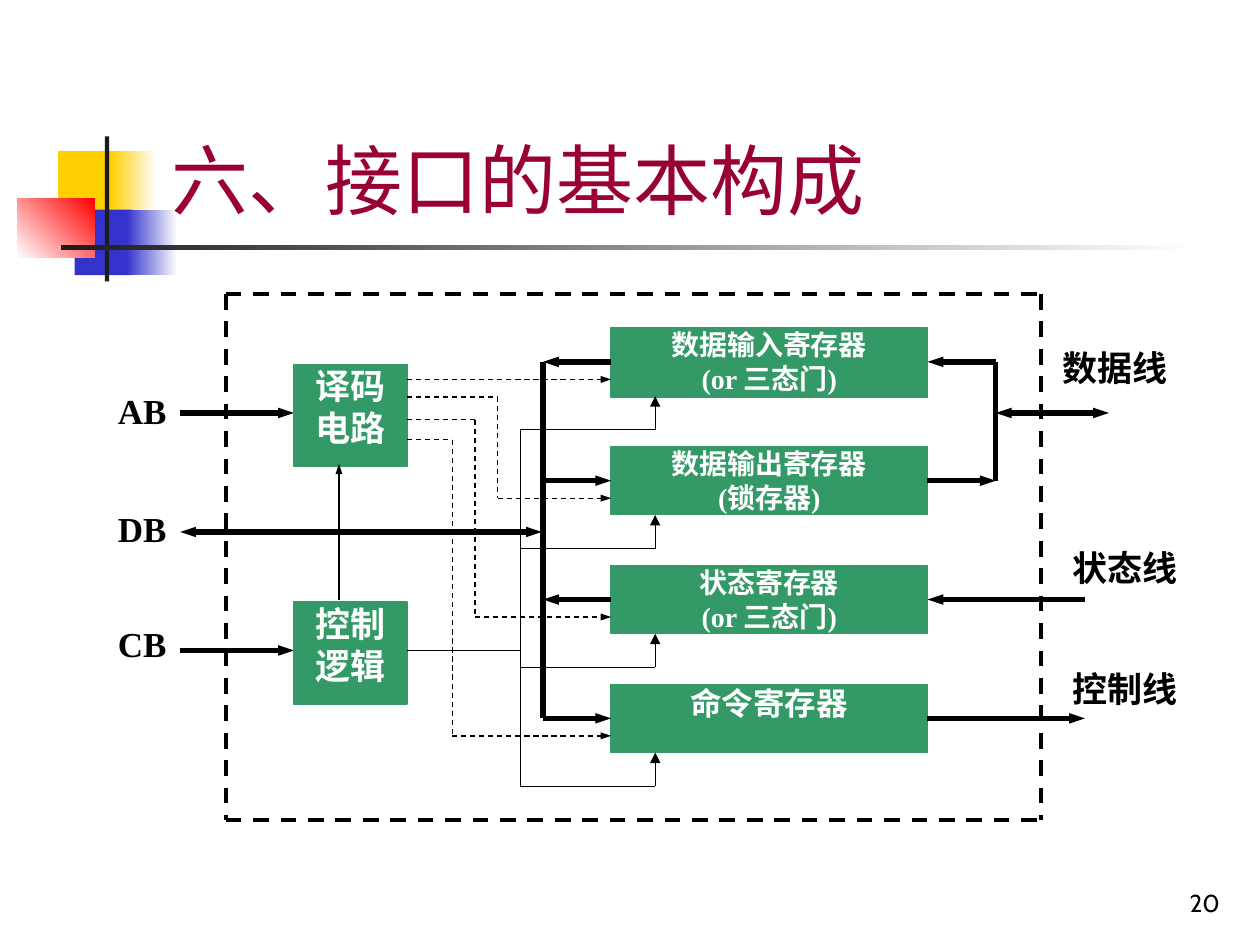
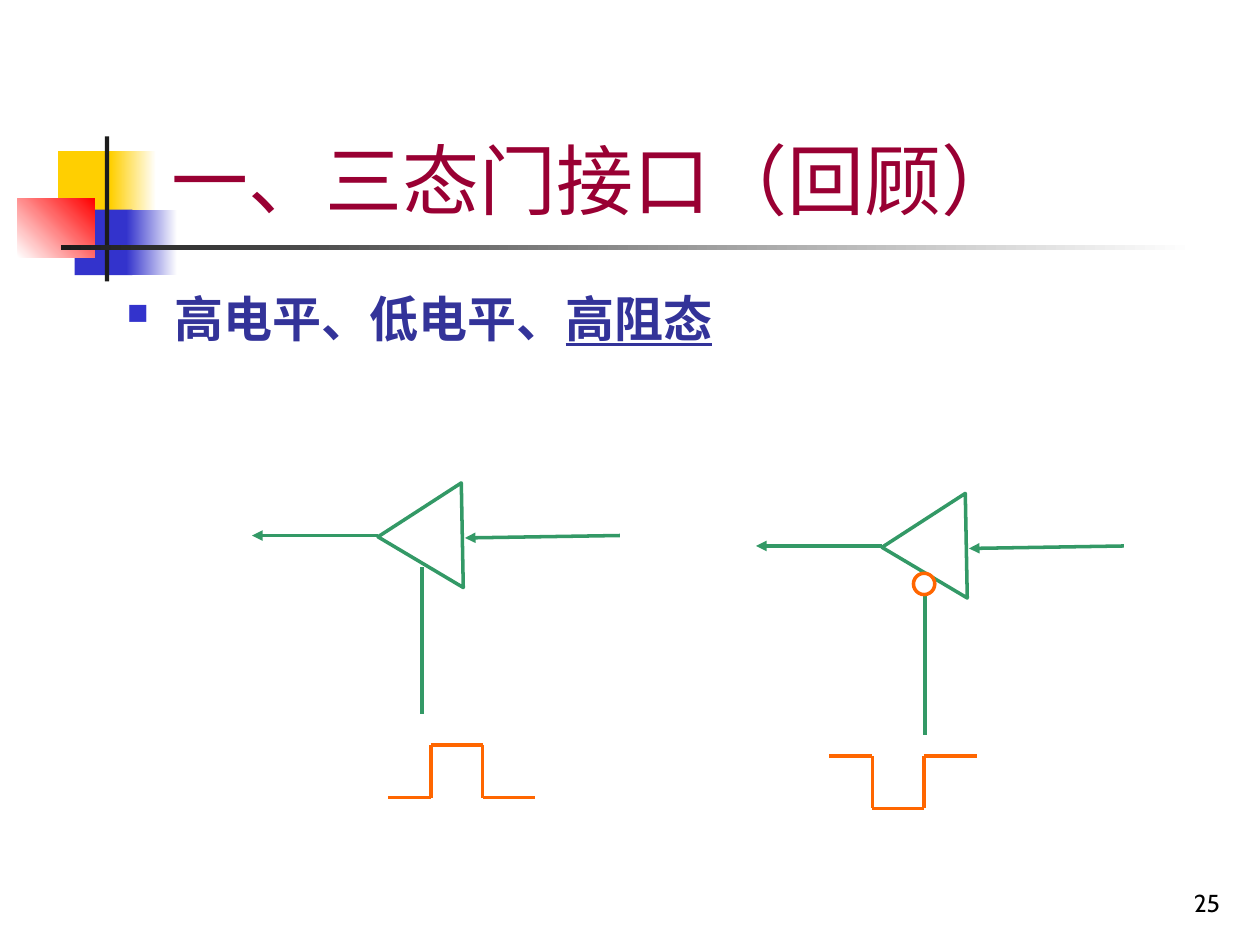
from dataclasses import dataclass

from lxml import etree
from pptx import Presentation
from pptx.dml.color import RGBColor
from pptx.enum.dml import MSO_LINE
from pptx.enum.shapes import MSO_CONNECTOR, MSO_SHAPE
from pptx.enum.text import MSO_ANCHOR, PP_ALIGN
from pptx.oxml.ns import qn
from pptx.util import Pt

RECT, OVAL, DELTA = MSO_SHAPE.RECTANGLE, MSO_SHAPE.OVAL, MSO_SHAPE.ISOSCELES_TRIANGLE
LEFT, MID, RIGHT, JUST = PP_ALIGN.LEFT, PP_ALIGN.CENTER, PP_ALIGN.RIGHT, PP_ALIGN.JUSTIFY
TOP, BOTTOM = MSO_ANCHOR.TOP, MSO_ANCHOR.BOTTOM


@dataclass(frozen=True)
class Font:
    name: str
    size: float
    color: str
    bold: bool = False


@dataclass(frozen=True)
class Pen:
    color: str
    width: float
    dash: bool = False
    tip: str = "sm"  # arrowhead width


@dataclass(frozen=True)
class Theme:
    white: str = "FFFFFF"
    black: str = "1C1C1C"
    gold: str = "FFCF01"
    blue: str = "3333CC"
    red: str = "FF0000"
    green: str = "339966"
    title: Font = Font("Cabin", 44, "990033")
    body: Font = Font("Cabin", 28, "333399", True)
    page: Font = Font("Cabin", 14, "000000")
    label: Font = Font("Times New Roman", 20, "000000", True)
    block: Font = Font("Times New Roman", 20, "FFFFFF", True)
    single: Font = Font("Times New Roman", 18, "FFFFFF", True)
    double: Font = Font("Times New Roman", 16, "FFFFFF", True)
    edge: Pen = Pen("339966", 0.75)
    bus: Pen = Pen("000000", 3)
    thin: Pen = Pen("000000", 0.75)
    strobe: Pen = Pen("000000", 0.75, tip="med")
    select: Pen = Pen("000000", 0.75, True)
    frame: Pen = Pen("000000", 2.25, True)
    gate: Pen = Pen("339966", 2, tip="med")
    pulse: Pen = Pen("FF6600", 2)


T = Theme()


def rgb(code):
    return RGBColor.from_string(code)


def style(par, font, align):
    par.alignment = align
    par.font.name = font.name
    par.font.size = Pt(font.size)
    par.font.bold = font.bold
    par.font.color.rgb = rgb(font.color)


def write(frame, lines, font, align=LEFT, anchor=TOP, pad=3.6):
    frame.word_wrap = True
    frame.vertical_anchor = anchor
    frame.margin_top = frame.margin_bottom = Pt(pad)
    for i, line in enumerate(lines):
        par = frame.add_paragraph() if i else frame.paragraphs[0]
        par.text = line
        style(par, font, align)


class Pane:
    """Drawing area whose coordinates start at its own top left corner."""

    def __init__(self, slide, left=0, top=0):
        self.shapes, self.left, self.top = slide.shapes, left, top

    def spot(self, x, y):
        return Pt(round(self.left + x, 2)), Pt(round(self.top + y, 2))

    def shape(self, kind, x, y, wide, high, fill, pen=None):
        item = self.shapes.add_shape(kind, *self.spot(x, y), Pt(wide), Pt(high))
        item.shadow.inherit = False
        item.fill.solid()
        item.fill.fore_color.rgb = rgb(fill)
        if pen:
            item.line.color.rgb = rgb(pen.color)
            item.line.width = Pt(pen.width)
        else:
            item.line.fill.background()
        return item

    def fade(self, x, y, wide, high, start, end, angle=0):
        fill = self.shape(RECT, x, y, wide, high, start).fill
        fill.gradient()
        fill.gradient_angle = angle
        for stop, code in zip(fill.gradient_stops, (start, end)):
            stop.color.rgb = rgb(code)

    def text(self, x, y, wide, high, lines, font, **look):
        item = self.shapes.add_textbox(*self.spot(x, y), Pt(wide), Pt(high))
        write(item.text_frame, lines, font, **look)
        return item.text_frame

    def block(self, x, y, wide, high, lines, font):
        item = self.shape(RECT, x, y, wide, high, T.green, T.edge)
        write(item.text_frame, lines, font, MID, pad=0)

    def route(self, pen, *points, head=False, tail=False):
        """Join the points by straight lines, with arrowheads at the ends asked for."""
        last = len(points) - 2
        for i, (start, end) in enumerate(zip(points, points[1:])):
            item = self.shapes.add_connector(
                MSO_CONNECTOR.STRAIGHT, *self.spot(*start), *self.spot(*end))
            item.line.color.rgb = rgb(pen.color)
            item.line.width = Pt(pen.width)
            if pen.dash:
                item.line.dash_style = MSO_LINE.DASH
            ends = (("a:headEnd", head and i == 0), ("a:tailEnd", tail and i == last))
            for tag, shown in ends:
                if shown:
                    etree.SubElement(item.line._get_or_add_ln(), qn(tag),
                                     type="triangle", w=pen.tip, len="med")
            etree.SubElement(item._element.spPr, qn("a:effectLst"))


def decor(pane):
    pane.shape(RECT, 0, 0, 34.5, 37.4, T.gold)
    pane.fade(30, 0, 26, 37.4, T.gold, T.white)
    pane.shape(RECT, 9.5, 33.4, 33, 37.4, T.blue)
    pane.fade(39, 33.4, 29, 37.4, T.blue, T.white)
    pane.fade(-23.2, 27.2, 44.3, 33.4, T.white, T.red, 45)
    pane.shape(RECT, 26.7, -8.5, 2.5, 83, T.black)
    pane.fade(1.6, 53.8, 648, 2.5, T.black, T.white)


def page(deck, title, number):
    slide = deck.slides.add_slide(deck.slide_layouts[6])
    decor(Pane(slide, 33.2, 86.4))
    pane = Pane(slide)
    pane.text(554.4, 491.8, 149.8, 36, [number], T.page, align=RIGHT, anchor=BOTTOM)
    pane.text(90.7, 16.6, 613.4, 115.2, [title], T.title, anchor=BOTTOM)
    return slide


def inputs(pane):
    """Bus names, their arrows and the two blocks they feed."""
    for name, y, top in (("AB", 68, 54.5), ("DB", 136, 122.2), ("CB", 203.7, 187.8)):
        pane.text(-68.7, top, 52, 29, [name], T.label, align=JUST, pad=0)
        end = 180.6 if name == "DB" else 39
        pane.route(T.bus, (-26, y), (end, y), head=name == "DB", tail=True)
    for top, lines in ((40.2, ("译码", "电路")), (176, ("控制", "逻辑"))):
        pane.block(38.8, top, 64.8, 58.3, lines, T.block)
    pane.route(Pen("000000", 1), (64.7, 174.7), (64.7, 97), tail=True)


def core(pane):
    """Four registers with their bus taps, select lines and strobes."""
    edge, bus, trunk, pin = 220.2, 181.3, 168.4, 245.4
    specs = (
        (("数据输入寄存器", "(or 三态门)"), T.double, True),
        (("数据输出寄存器", "(锁存器)"), T.double, False),
        (("状态寄存器", "(or 三态门)"), T.double, True),
        (("命令寄存器",), T.single, False),
    )
    taps = (48.8, 58.8, 71.8, 83.3)
    tops = [19.4 + 67.9 * i for i in range(len(specs))]
    for i, (top, tap, (lines, font, reads)) in enumerate(zip(tops, taps, specs)):
        pane.block(edge, top, 180.7, 39.6 if i == 0 else 38.9, lines, font)
        pane.route(T.bus, (bus, top + 19.4), (edge, top + 19.4), head=reads, tail=not reads)
        goal = (edge, top + 29.4)
        if i:
            turn = 168.4 - 13 * i
            pane.route(T.select, (103.6, tap), (turn, tap), (turn, goal[1]), goal, tail=True)
        else:
            pane.route(T.select, (103.6, tap), goal, tail=True)
        pane.route(T.strobe, (trunk, top + 58.2), (pin, top + 58.2), (pin, top + 39), tail=True)
    pane.route(T.bus, (bus, tops[0] + 19.4), (bus, tops[-1] + 19.4))
    pane.route(T.thin, (trunk, tops[0] + 58.2), (trunk, tops[-1] + 58.2))
    pane.route(T.thin, (103.6, 203.7), (trunk, 203.7))


def outputs(pane):
    """Lines to the device and their names."""
    edge, join, end = 401, 440, 491
    read, send, state, order = (38.8 + 67.9 * i for i in range(4))
    pane.route(T.bus, (edge, read), (join, read), head=True)
    pane.route(T.bus, (join, read), (join, send))
    pane.route(T.bus, (edge, send), (join, send), tail=True)
    pane.route(T.bus, (join, 68), (504.7, 68), head=True, tail=True)
    pane.route(T.bus, (edge, state), (end, state), head=True)
    pane.route(T.bus, (edge, order), (end, order), tail=True)
    for name, x, y in (("数据线", 471, 30), ("状态线", 477, 144), ("控制线", 477, 213.6)):
        pane.text(x, y, 78, 29, [name], T.label, align=JUST, pad=0)


def border(pane, wide, high):
    for x in (0, wide):
        pane.route(T.frame, (x, 0), (x, high))
    for y in (0, high):
        pane.route(T.frame, (0, y), (wide, y))


def points(pane):
    frame = pane.text(0, 0, 612, 75, ["高电平、低电平、"], T.body)
    par = frame.paragraphs[0]
    run = par.add_run()
    run.text = "高阻态"
    run.font.underline = True
    props = par._p.get_or_add_pPr()
    props.set("marL", str(Pt(27)))
    props.set("indent", str(Pt(-27)))
    marks = [etree.Element(qn(tag)) for tag in ("a:buClr", "a:buSzPct", "a:buChar")]
    etree.SubElement(marks[0], qn("a:srgbClr"), val=T.blue)
    marks[1].set("val", "60000")
    marks[2].set("char", "■")
    for i, mark in enumerate(marks):
        props.insert(i, mark)


def gate(pane, stem, low):
    """Tri-state gate; low adds the circle of an active-low control."""
    pane.shape(DELTA, 66.2, -23.8, 59.8, 48.2, T.white, T.gate).rotation = 268.9
    pane.route(T.gate, (0, 0), (72, 0), head=True)
    pane.route(T.gate, (121.7, 1.4), (210.2, 0), head=True)
    pane.route(T.gate, (stem, 23.5 if low else 18), (stem, 108 if low else 102))
    if low:
        pane.shape(OVAL, 90, 15.6, 12.2, 12.2, T.white, T.pulse)


def pulse(pane, rise):
    pane.route(T.pulse, (0, 0), (24.5, 0), (24.5, rise), (54, rise), (54, 0), (84, 0))


def main():
    deck = Presentation()
    deck.slide_width, deck.slide_height = Pt(720), Pt(540)

    slide = page(deck, "六、接口的基本构成", "20")
    chart = Pane(slide, 129, 168)
    inputs(chart)
    core(chart)
    outputs(chart)
    border(chart, 465.8, 300.8)

    slide = page(deck, "一、三态门接口（回顾）", "25")
    points(Pane(slide, 65.5, 161.3))
    gate(Pane(slide, 144, 306), 97.2, False)
    gate(Pane(slide, 432, 312), 96.5, True)
    pulse(Pane(slide, 221.8, 455.8), -30)
    pulse(Pane(slide, 474, 432), 30)

    deck.save("out.pptx")


if __name__ == "__main__":
    main()
